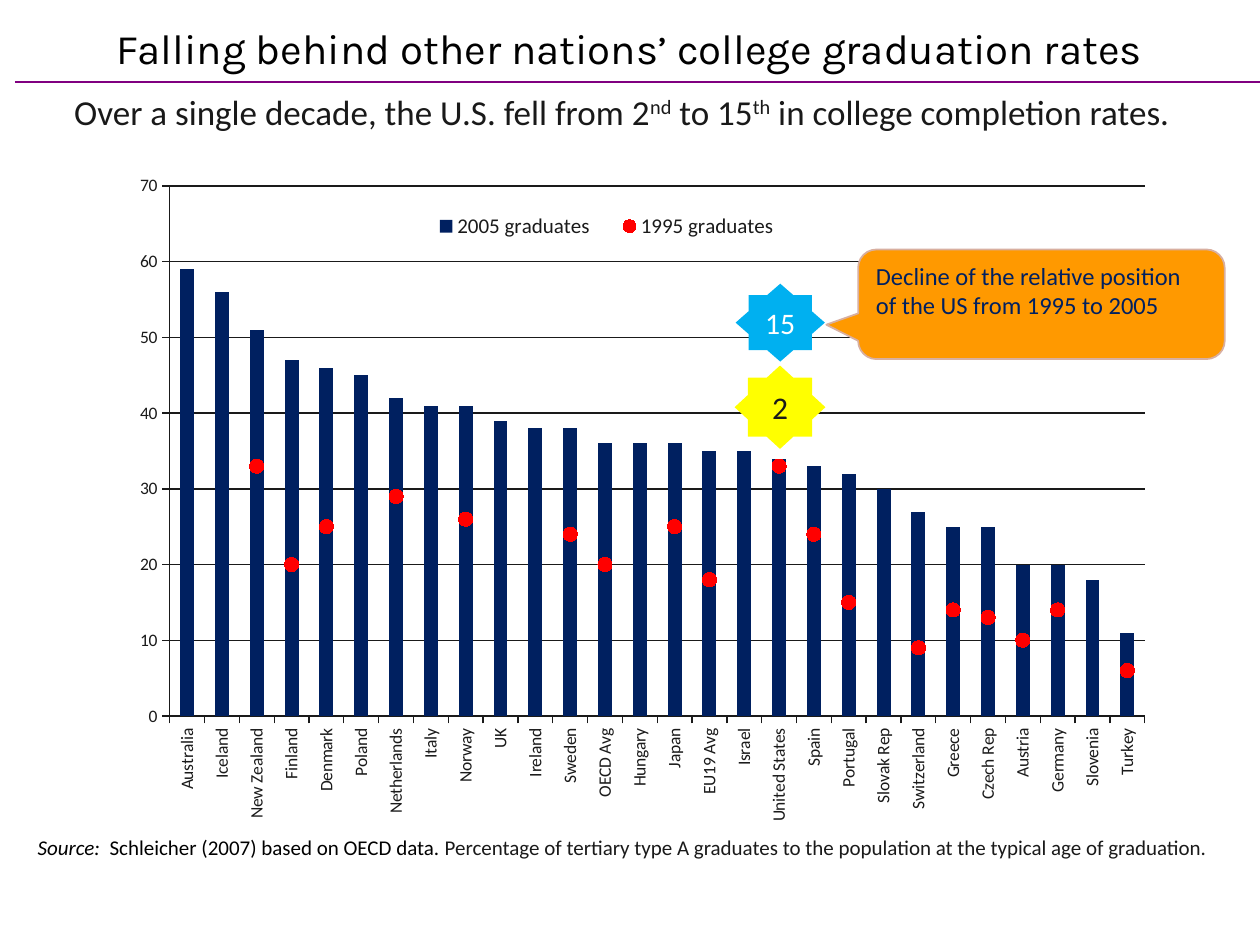
from lxml.etree import SubElement
from pptx import Presentation
from pptx.chart.data import CategoryChartData
from pptx.dml.color import RGBColor
from pptx.enum.chart import XL_CHART_TYPE, XL_LEGEND_POSITION, XL_MARKER_STYLE, XL_TICK_MARK
from pptx.enum.shapes import MSO_CONNECTOR, MSO_SHAPE
from pptx.enum.text import MSO_ANCHOR, PP_ALIGN
from pptx.oxml import parse_xml
from pptx.oxml.ns import nsdecls, qn
from pptx.util import Cm, Pt

INK, NAVY, RED = "1A1A1A", "002060", "FF0000"


def tint(target, color):
    """Give a fill a solid colour, or set the colour of a font."""
    if hasattr(target, "solid"):
        target.solid()
        target = target.fore_color
    else:
        target = target.color
    target.rgb = RGBColor.from_string(color)


def write(shape, text, size=12, color=INK, font="Calibri", align=PP_ALIGN.LEFT,
          italic=False, raised=False):
    """Add one run to the first paragraph of a shape."""
    para = shape.text_frame.paragraphs[0]
    para.alignment = align
    run = para.add_run()
    run.text = text
    run.font.size, run.font.name, run.font.italic = Pt(size), font, italic
    tint(run.font, color)
    if raised:
        run.font._element.set("baseline", "30000")


deck = Presentation()
deck.slide_width, deck.slide_height = Cm(25.4), Cm(19.05)
slide = deck.slides.add_slide(deck.slide_layouts[6])
shapes = slide.shapes

# Heading, rule, subtitle and source
title = shapes.add_textbox(Cm(0.28), Cm(0.33), Cm(24.82), Cm(1.27))
lead = shapes.add_textbox(Cm(0.23), Cm(1.7), Cm(24.61), Cm(2.64))
source = shapes.add_textbox(Cm(0.51), Cm(16.69), Cm(24.89), Cm(2.03))
for box in (title, lead, source):
    box.text_frame.word_wrap = True

write(title, "Falling behind other nations’ college graduation rates",
      size=24, color="000000", font="Karla", align=PP_ALIGN.CENTER)
for text, raised in (("Over a single decade, the U.S. fell from 2", False), ("nd", True),
                     (" to 15", False), ("th", True),
                     (" in college completion rates.", False)):
    write(lead, text, size=20, color="191919", align=PP_ALIGN.CENTER, raised=raised)
write(source, "Source:", color="000000", italic=True)
write(source, "  Schleicher (2007) based on OECD data. ", color="000000")
write(source, "Percentage of tertiary type A graduates to the population "
              "at the typical age of graduation.")

rule = shapes.add_connector(MSO_CONNECTOR.STRAIGHT, Cm(0.3), Cm(1.65), Cm(25.4), Cm(1.65))
tint(rule.line.fill, "800080")
rule.line.width = Pt(1)
SubElement(rule._element.spPr, qn("a:effectLst"))

# Chart: country, 2005 rate, 1995 rate
rates = [
    ("Australia", 59, None), ("Iceland", 56, None), ("New Zealand", 51, 33),
    ("Finland", 47, 20), ("Denmark", 46, 25), ("Poland", 45, None),
    ("Netherlands", 42, 29), ("Italy", 41, None), ("Norway", 41, 26),
    ("UK", 39, None), ("Ireland", 38, None), ("Sweden", 38, 24),
    ("OECD Avg", 36, 20), ("Hungary", 36, None), ("Japan", 36, 25),
    ("EU19 Avg", 35, 18), ("Israel", 35, None), ("United States", 34, 33),
    ("Spain", 33, 24), ("Portugal", 32, 15), ("Slovak Rep", 30, None),
    ("Switzerland", 27, 9), ("Greece", 25, 14), ("Czech Rep", 25, 13),
    ("Austria", 20, 10), ("Germany", 20, 14), ("Slovenia", 18, None), ("Turkey", 11, 6),
]
names, late, early = zip(*rates)
data = CategoryChartData()
data.categories = names
data.add_series("2005 graduates", late)
data.add_series("1995 graduates", early)
chart = shapes.add_chart(XL_CHART_TYPE.COLUMN_CLUSTERED, Cm(2.01), Cm(3.51),
                         Cm(21.08), Cm(15.01), data).chart
chart.has_title = False
chart.font.size, chart.font.name = Pt(12), "Calibri"
tint(chart.font, INK)

# The second series becomes a line on the same axes
bars = chart.plots[0]
bars.gap_width, bars.vary_by_categories = 150, False
tint(bars.series[0].format.fill, NAVY)
dots = bars.series[1]._element
for flag in dots.findall(qn("c:invertIfNegative")):
    dots.remove(flag)
line = parse_xml(f'<c:lineChart {nsdecls("c")}><c:grouping val="standard"/>'
                 '<c:varyColors val="0"/><c:marker val="1"/></c:lineChart>')
line.insert(2, dots)
for axis in bars._element.findall(qn("c:axId")):
    SubElement(line, qn("c:axId")).set("val", axis.get("val"))
bars._element.addnext(line)

trend = chart.plots[1].series[0]
trend.smooth = False
trend.format.line.fill.background()
trend.marker.style, trend.marker.size = XL_MARKER_STYLE.CIRCLE, 8
tint(trend.marker.format.fill, RED)
tint(trend.marker.format.line.fill, RED)

value, group = chart.value_axis, chart.category_axis
value.minimum_scale, value.maximum_scale, value.major_unit = 0, 70, 10
value.has_major_gridlines = True
value.tick_labels.number_format = "0"
value.tick_labels.number_format_is_linked = False
for axis in (value, group):
    axis.major_tick_mark = XL_TICK_MARK.OUTSIDE
    axis.tick_labels.font.size = Pt(10)
    tint(axis.tick_labels.font, INK)
for part in (value, group, value.major_gridlines):
    tint(part.format.line.fill, INK)
    part.format.line.width = Pt(0.75)
group._element.txPr.find(qn("a:bodyPr")).set("rot", "-5400000")

chart.has_legend = True
legend = chart.legend
legend.position, legend.include_in_layout = XL_LEGEND_POSITION.RIGHT, False
legend.font.size = Pt(12)
tint(legend.font, INK)

for owner, inner, place in ((chart._chartSpace.chart.plotArea, True, (0.067, 0.016, 0.933, 0.712)),
                            (legend._element, False, (0.3, 0.04, 0.37, 0.06))):
    for old in owner.findall(qn("c:layout")):
        owner.remove(old)
    layout = parse_xml(f'<c:layout {nsdecls("c")}><c:manualLayout/></c:layout>')
    if inner:
        SubElement(layout[0], qn("c:layoutTarget")).set("val", "inner")
    for tag in ("xMode", "yMode"):
        SubElement(layout[0], qn(f"c:{tag}")).set("val", "edge")
    for tag, share in zip("xywh", place):
        SubElement(layout[0], qn(f"c:{tag}")).set("val", str(share))
    owner.insert(0 if inner else 1, layout)

# Rank stars and callout
for rank, left, top, width, height, fill, size, color in (
        ("15", 14.83, 5.72, 1.8, 1.57, "00B0F0", 17, "FFFFFF"),
        ("2", 14.81, 7.37, 1.83, 1.68, "FFFF00", 18, INK)):
    star = shapes.add_shape(MSO_SHAPE.STAR_8_POINT, Cm(left), Cm(top), Cm(width), Cm(height))
    star.adjustments[0] = 0.383
    star.shadow.inherit = False
    tint(star.fill, fill)
    star.line.fill.background()
    frame = star.text_frame
    frame.word_wrap, frame.vertical_anchor = False, MSO_ANCHOR.MIDDLE
    write(star, rank, size=size, color=color, align=PP_ALIGN.CENTER)

note = shapes.add_shape(MSO_SHAPE.ROUNDED_RECTANGULAR_CALLOUT,
                        Cm(17.3), Cm(5.03), Cm(7.39), Cm(2.21))
for i, amount in enumerate((-0.587, 0.186, 0.167)):
    note.adjustments[i] = amount
note.shadow.inherit = False
tint(note.fill, "FF9900")
tint(note.line.fill, "D8AFA0")
note.line.width = Pt(1)
note.text_frame.word_wrap = True
note.text_frame.vertical_anchor = MSO_ANCHOR.TOP
write(note, "Decline of the relative position of the US from 1995 to 2005", size=14, color=NAVY)

deck.save("out.pptx")
